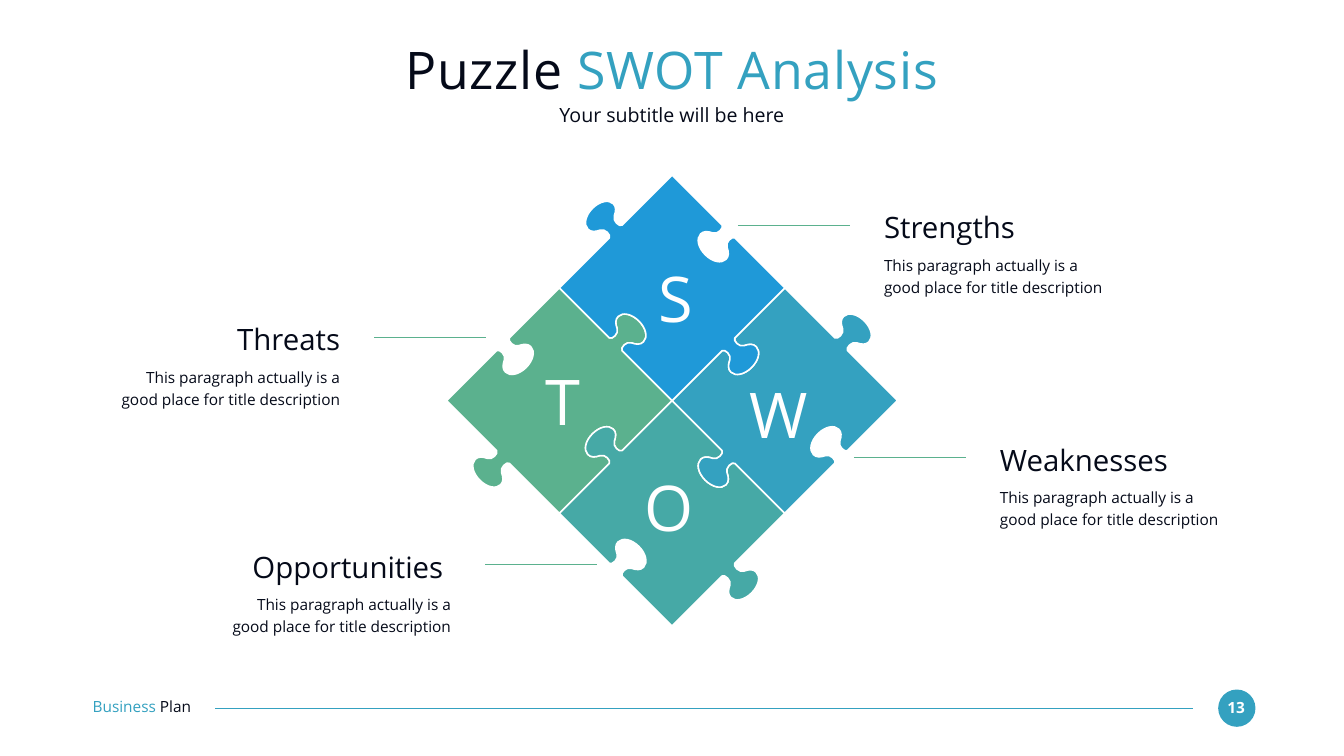
import dataclasses

import pptx
import pptx.dml.color
import pptx.enum.shapes
import pptx.enum.text
import pptx.oxml
import pptx.oxml.ns
import pptx.util
from pptx.util import Cm

RGB = pptx.dml.color.RGBColor.from_string
ALIGN = pptx.enum.text.PP_ALIGN
DRAWING_NS = pptx.oxml.ns.nsdecls("a")


@dataclasses.dataclass(frozen=True)
class Theme:
    font = "Open Sans"
    ink, white = RGB("050A19"), RGB("FFFFFF")
    blue, cyan = RGB("1F99D8"), RGB("34A1C0")
    teal, green = RGB("46A9A6"), RGB("5BB18E")
    title, subtitle, heading, body, letter = 74, 28, 42, 22, 90
    rule, outline = 1.5, 2.25


theme = Theme()
deck = pptx.Presentation()
deck.slide_width, deck.slide_height = Cm(67.73), Cm(38.1)
slide = deck.slides.add_slide(deck.slide_layouts[6])


def write_text(box, runs, size, align=ALIGN.LEFT, line_spacing=None, bold=False, tracking=None):
    """Add a text box at box (left, top, width, height in cm) from (text, colour) runs."""
    frame = slide.shapes.add_textbox(*map(Cm, box)).text_frame
    frame_format = {
        "margin_left": 0, "margin_top": 0, "margin_right": 0, "margin_bottom": 0,
        "word_wrap": True, "vertical_anchor": pptx.enum.text.MSO_ANCHOR.MIDDLE,
    }
    for key, value in frame_format.items():
        setattr(frame, key, value)
    paragraph = frame.paragraphs[0]
    paragraph.alignment = align
    paragraph.line_spacing = line_spacing
    for text, colour in runs:
        run = paragraph.add_run()
        run.text = text
        for key, value in {"name": theme.font, "size": pptx.util.Pt(size), "bold": bold}.items():
            setattr(run.font, key, value)
        run.font.color.rgb = colour
        if tracking:
            run.font._element.set("spc", str(tracking * 100))


def draw_rule(left, right, y, colour):
    rule = slide.shapes.add_connector(
        pptx.enum.shapes.MSO_CONNECTOR.STRAIGHT, Cm(left), Cm(y), Cm(right), Cm(y))
    rule.line.color.rgb = colour
    rule.line.width = pptx.util.Pt(theme.rule)
    rule._element.spPr.append(pptx.oxml.parse_xml(f"<a:effectLst {DRAWING_NS}/>"))


# Footer
badge = slide.shapes.add_shape(
    pptx.enum.shapes.MSO_SHAPE.OVAL, Cm(61.39), Cm(34.75), Cm(1.88), Cm(1.88))
badge.shadow.inherit = False
badge.fill.solid()
badge.fill.fore_color.rgb = theme.cyan
badge.line.fill.background()
write_text((61.54, 35.18, 1.5, 0.94), [("13", theme.white)], theme.body, ALIGN.CENTER, bold=True)
draw_rule(10.85, 60.12, 35.69, theme.cyan)
write_text((4.67, 35.15, 6.58, 0.94), [("Business ", theme.cyan), ("Plan", theme.ink)], theme.body)

# Heading
write_text((4.65, 1.85, 58.42, 3.23), [("Puzzle ", theme.ink), ("SWOT Analysis", theme.cyan)],
           theme.title, ALIGN.CENTER, tracking=1)
write_text((4.65, 5.16, 58.42, 1.24), [("Your subtitle will be here", theme.ink)],
           theme.subtitle, ALIGN.CENTER)

# Half of a puzzle knob as Bezier control points: (along the edge, out of the edge).
half_knob = [(-0.32, 0), (-0.2, 0.02), (-0.19, 0.36), (-0.36, 0.43), (-0.53, 0.51),
             (-0.64, 0.61), (-0.64, 0.76), (-0.64, 0.99), (-0.36, 1.17), (0, 1.17)]
knob = half_knob + [(-along, out) for along, out in half_knob[-2::-1]]
half_edge = 2.84
edge = [(-half_edge, 0)] + knob

# Puzzle: the first edge of each piece is a knob (1) or a socket (-1), then they alternate.
centre_x, centre_y = 33.87, 20.19
pieces = [(-1, 0, theme.green, -1), (0, 1, theme.teal, 1),
          (1, 0, theme.cyan, -1), (0, -1, theme.blue, 1)]
for column, row, colour, knob_sign in pieces:
    piece_x = centre_x + column * 2 * half_edge
    piece_y = centre_y + row * 2 * half_edge
    along_x, along_y, out_x, out_y = -1, 1, -1, -1
    outline = []
    for _ in range(4):
        for along, out in edge:
            reach = half_edge + knob_sign * out
            outline.append((Cm(piece_x + along * along_x + reach * out_x),
                            Cm(piece_y + along * along_y + reach * out_y)))
        along_x, along_y, out_x, out_y = along_y, -along_x, out_y, -out_x
        knob_sign = -knob_sign
    builder = slide.shapes.build_freeform(*outline[0])
    builder.add_line_segments(outline[1:], close=True)
    piece = builder.convert_to_shape()

    # Join each three knob segments into one Bezier curve.
    segments = piece._element.xpath(".//a:path/a:lnTo")
    for edge_start in range(0, len(outline), len(edge)):
        for first in range(edge_start + 1, edge_start + len(knob), 3):
            curve = pptx.oxml.parse_xml(f"<a:cubicBezTo {DRAWING_NS}/>")
            segments[first].addprevious(curve)
            for segment in segments[first:first + 3]:
                curve.append(segment[0])
                segment.getparent().remove(segment)

    piece.shadow.inherit = False
    piece.fill.solid()
    piece.fill.fore_color.rgb = colour
    piece.line.color.rgb = theme.white
    piece.line.width = pptx.util.Pt(theme.outline)

# Callouts
text_width, rule_gap, rule_length = 11.53, 1.72, 5.64
description = "This paragraph actually is a good place for title description"
callouts = [("Threats", 5.61, 16.18, ALIGN.RIGHT), ("Opportunities ", 11.2, 27.64, ALIGN.RIGHT),
            ("Strengths", 44.55, 10.54, ALIGN.LEFT), ("Weaknesses", 50.39, 22.25, ALIGN.LEFT)]
for heading, left, top, align in callouts:
    write_text((left, top, text_width, 1.8), [(heading, theme.ink)], theme.heading, align)
    write_text((left, top + 2.16, text_width, 2.26), [(description, theme.ink)],
               theme.body, align, line_spacing=1.2)
    if align == ALIGN.RIGHT:
        rule_left = left + text_width + rule_gap
    else:
        rule_left = left - rule_gap - rule_length
    draw_rule(rule_left, rule_left + rule_length, top + 0.83, theme.green)

# Letters
for letter, left, top in [("W", 36.58, 18.9), ("S", 31.37, 13.06),
                          ("T", 25.7, 18.26), ("O", 31.04, 23.62)]:
    write_text((left, top, 5.33, 3.84), [(letter, theme.white)], theme.letter, ALIGN.CENTER)

deck.save("out.pptx")
